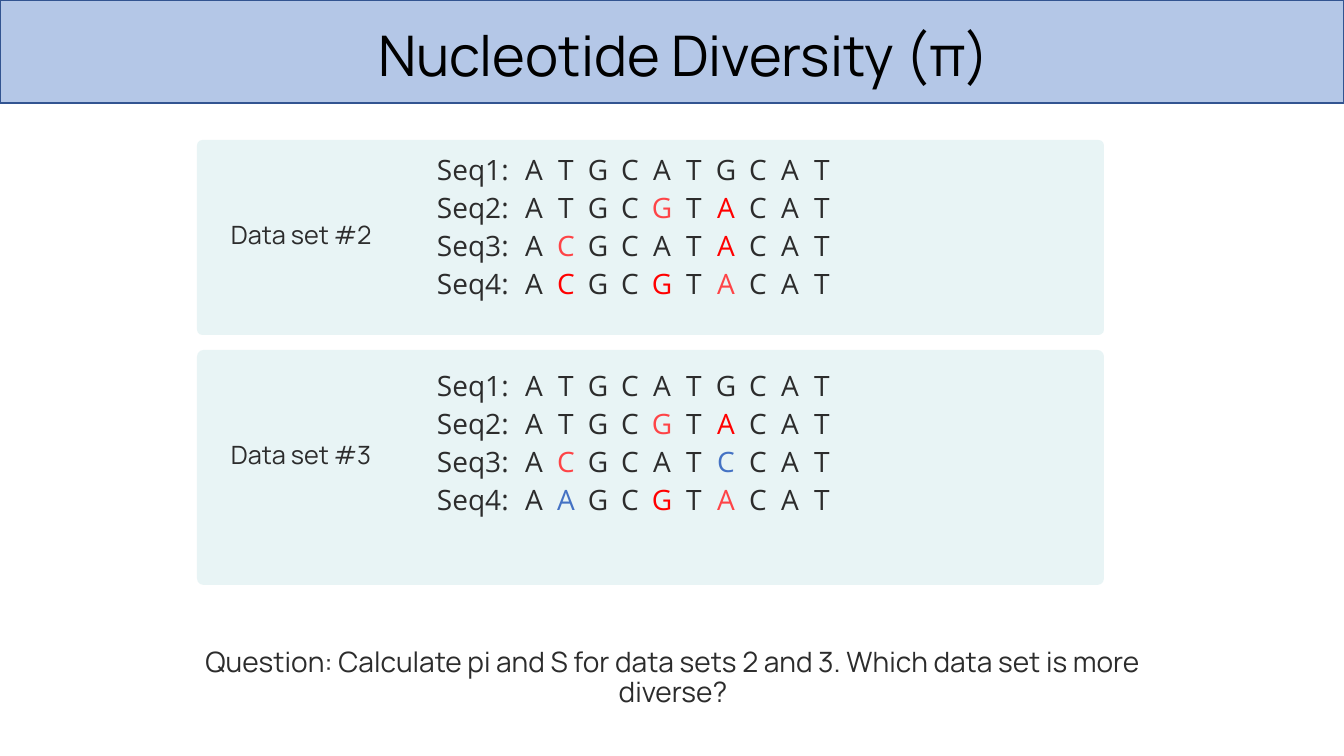
from itertools import groupby

from lxml import etree
from pptx import Presentation
from pptx.dml.color import RGBColor
from pptx.enum.shapes import MSO_SHAPE
from pptx.enum.text import MSO_ANCHOR, PP_ALIGN
from pptx.oxml.ns import qn
from pptx.util import Emu, Pt

RECT, ROUNDED = MSO_SHAPE.RECTANGLE, MSO_SHAPE.ROUNDED_RECTANGLE
CENTER, LEFT = PP_ALIGN.CENTER, PP_ALIGN.LEFT
TOP = MSO_ANCHOR.TOP

BLACK = RGBColor(0x00, 0x00, 0x00)
INK = RGBColor(0x2C, 0x2C, 0x2C)
BANNER_BLUE = RGBColor(0xB4, 0xC7, 0xE7)
BANNER_EDGE = RGBColor(0x32, 0x54, 0x91)
PANEL_TINT = RGBColor(0xE8, 0xF4, 0xF5)
CORAL = RGBColor(0xFE, 0x44, 0x47)
RED = RGBColor(0xFF, 0x00, 0x00)
BLUE = RGBColor(0x44, 0x72, 0xC4)

PX = 914400 / 100.8
FIRST_BASE, BASE_STEP = 97, 32

# Each row: the bases and the colours of the variant positions
SHARED_ROWS = [("ATGCATGCAT", {}), ("ATGCGTACAT", {4: CORAL, 6: RED})]
DATA_SET_2 = SHARED_ROWS + [
    ("ACGCATACAT", {1: CORAL, 6: RED}),
    ("ACGCGTACAT", {1: RED, 4: RED, 6: CORAL}),
]
DATA_SET_3 = SHARED_ROWS + [
    ("ACGCATCCAT", {1: CORAL, 6: BLUE}),
    ("AAGCGTACAT", {1: BLUE, 4: RED, 6: CORAL}),
]


def px(length):
    return Emu(round(length * PX))


class SlideBuilder:
    heading_font = "Manrope"
    sequence_font = "Open Sans"

    def __init__(self, slide):
        self.slide = slide

    def box(self, kind, area, fill, edge=None):
        shape = self.slide.shapes.add_shape(kind, *map(px, area))
        shape.shadow.inherit = False
        shape.fill.solid()
        shape.fill.fore_color.rgb = fill
        if edge is None:
            shape.line.fill.background()
        else:
            shape.line.color.rgb = edge
            shape.line.width = Pt(1)
        if kind == ROUNDED:
            shape.adjustments[0] = 0.028
        return shape

    def style(self, paragraph, font, size, color, align=LEFT):
        paragraph.alignment = align
        paragraph.font.name = font
        paragraph.font.size = Pt(size)
        paragraph.font.color.rgb = color

    def space(self, paragraph):
        paragraph.line_spacing = Pt(21)
        paragraph.space_before = paragraph.space_after = Pt(3)

    def title(self, text, area):
        title = self.slide.shapes.title
        title.left, title.top, title.width, title.height = map(px, area)
        title.text_frame.vertical_anchor = TOP
        title.text_frame.text = text
        self.style(title.text_frame.paragraphs[0], self.heading_font, 40, BLACK, CENTER)
        return title

    def frame(self, area, inset=True):
        frame = self.slide.shapes.add_textbox(*map(px, area)).text_frame
        frame.word_wrap = True
        if not inset:
            frame.margin_left = frame.margin_right = 0
            frame.margin_top = frame.margin_bottom = 0
        return frame

    def label(self, text, area):
        frame = self.frame(area)
        frame.text = text
        self.style(frame.paragraphs[0], self.heading_font, 18, INK)

    def question(self, text, area):
        frame = self.frame(area, inset=False)
        frame.text = text
        self.space(frame.paragraphs[0])
        self.style(frame.paragraphs[0], self.heading_font, 20, INK, CENTER)

    def tab_stops(self, paragraph, count):
        stops = etree.SubElement(paragraph._p.get_or_add_pPr(), qn("a:tabLst"))
        for i in range(count):
            position = px(FIRST_BASE + i * BASE_STEP)
            etree.SubElement(stops, qn("a:tab"), pos=str(position), algn="ctr")

    def sequences(self, rows, area):
        frame = self.frame(area, inset=False)
        for number, (bases, variants) in enumerate(rows, 1):
            line = frame.paragraphs[0] if number == 1 else frame.add_paragraph()
            self.space(line)
            self.tab_stops(line, len(bases))
            self.style(line, self.sequence_font, 20, INK)
            line.add_run().text = f"Seq{number}:"
            for color, group in groupby(range(len(bases)), variants.get):
                run = line.add_run()
                run.text = "".join("\t" + bases[i] for i in group)
                if color is not None:
                    run.font.color.rgb = color


def main():
    prs = Presentation()
    prs.slide_width, prs.slide_height = px(1344), px(756)
    builder = SlideBuilder(prs.slides.add_slide(prs.slide_layouts[5]))

    # Title on its banner
    banner = builder.box(RECT, (0, 0, 1344, 103), BANNER_BLUE, BANNER_EDGE)
    title = builder.title("Nucleotide Diversity (π)", (12, 15, 1344, 87))
    title._element.addprevious(banner._element)

    # Data set panels: name, rows, panel top and height, label top, rows top
    for name, rows, top, height, label_top, rows_top in (
        ("Data set #2", DATA_SET_2, 140, 195, 214, 157),
        ("Data set #3", DATA_SET_3, 350, 235, 434, 373),
    ):
        builder.box(ROUNDED, (197, top, 907, height), PANEL_TINT)
        builder.label(name, (221, label_top, 173, 40))
        builder.sequences(rows, (437, rows_top, 451, 235))

    # Question
    builder.question(
        "Question: Calculate pi and S for data sets 2 and 3. "
        "Which data set is more diverse?",
        (195, 649, 956, 65),
    )

    prs.save("out.pptx")


if __name__ == "__main__":
    main()
